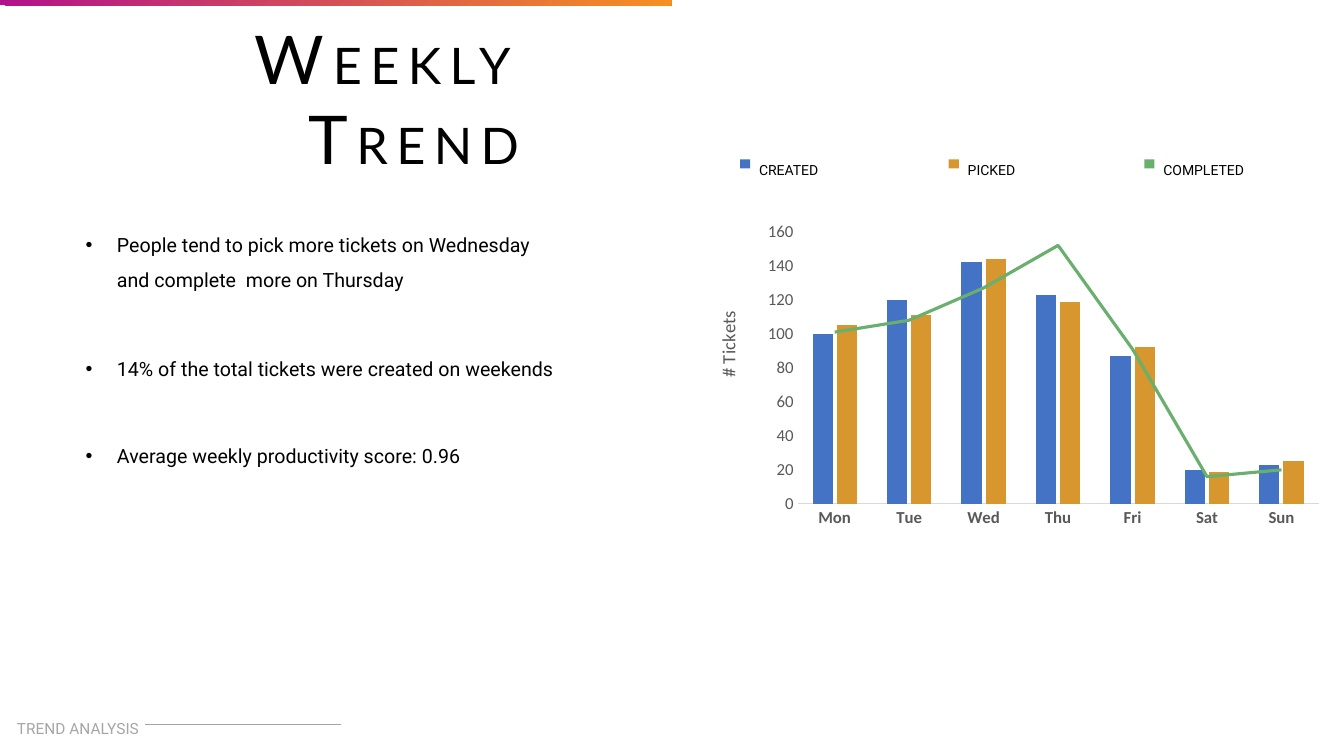
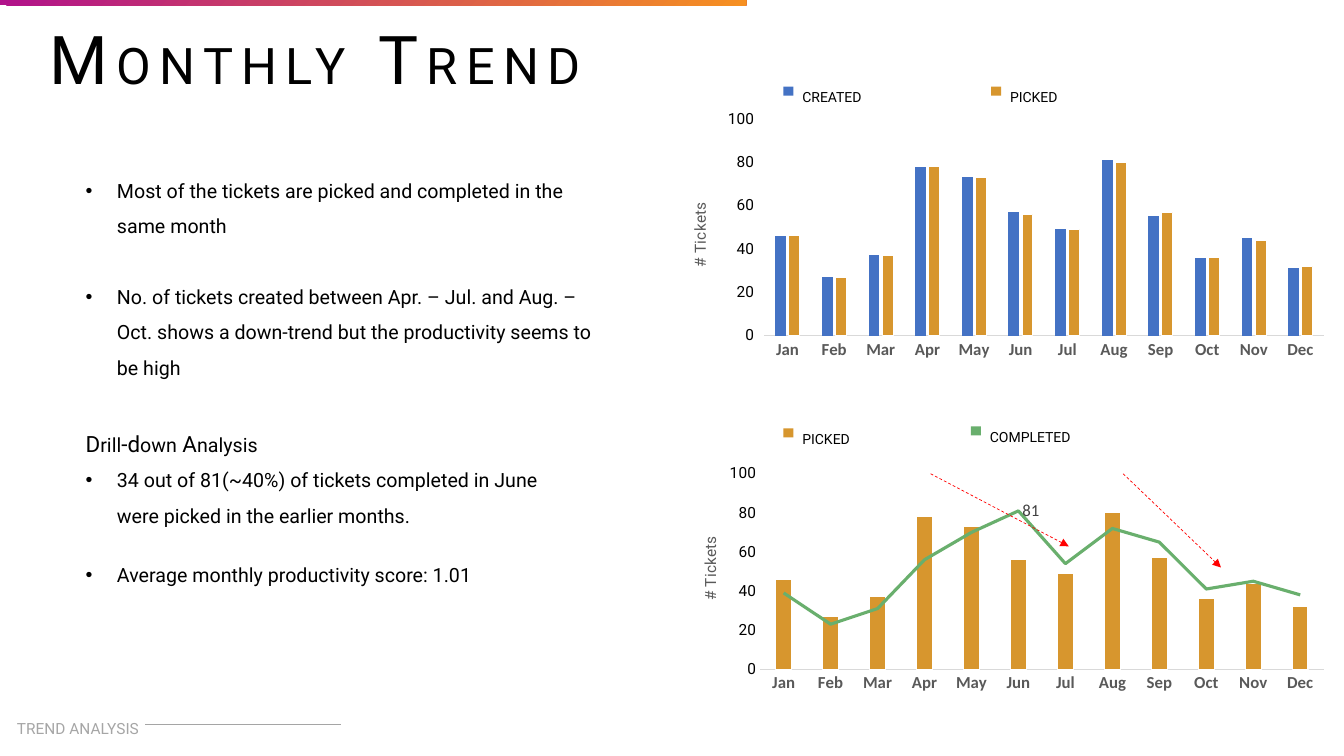
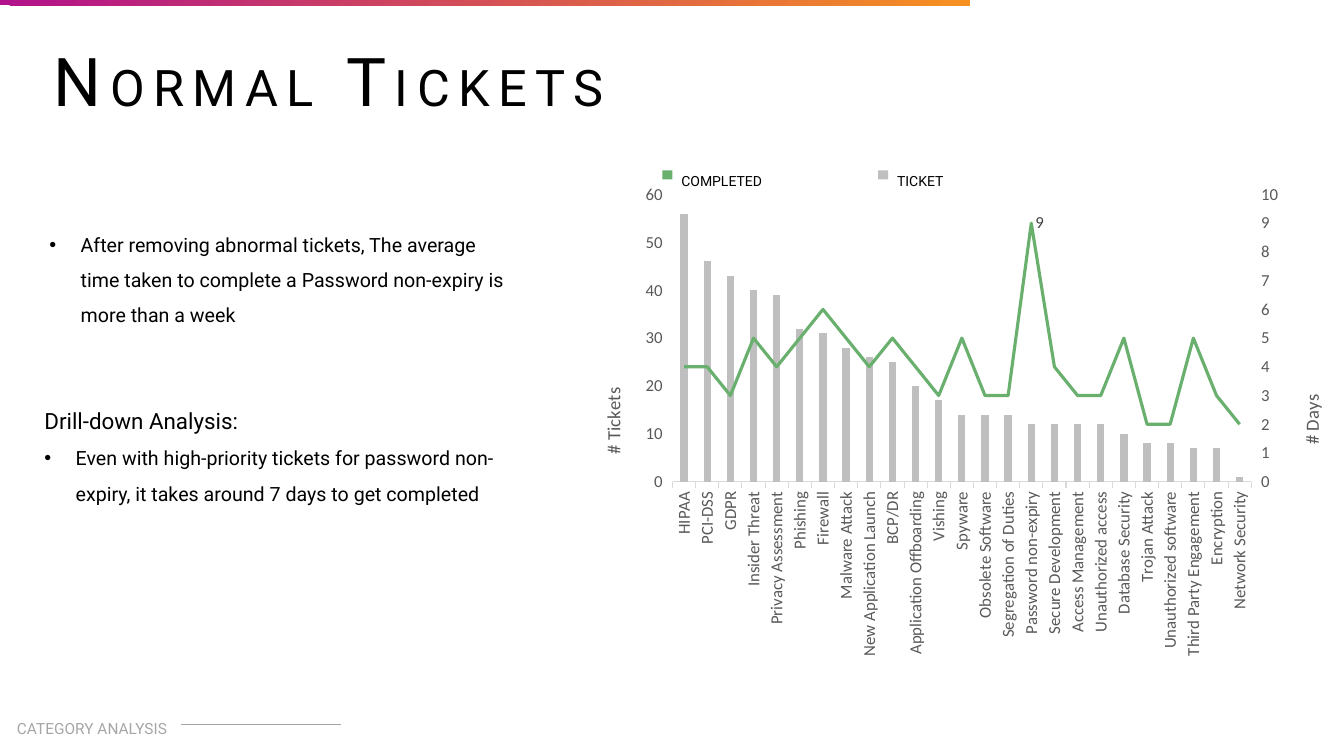
import copy

import pptx
import pptx.chart.axis
import pptx.chart.data
import pptx.dml.color
import pptx.enum.chart
import pptx.enum.dml
import pptx.enum.shapes
import pptx.enum.text
import pptx.oxml
import pptx.oxml.ns
import pptx.util

PX = 9144
COLOURS = {
    "text": "000000", "footer": "A6A6A6", "rule": "A5A5A5", "axis": "595959",
    "baseline": "D9D9D9", "created": "4472C4", "picked": "D7962E",
    "completed": "69AF6D", "ticket": "BFBFBF", "arrow": "FF0000",
    "white": "FFFFFF", "band_right": "F69021", "band_left": "B1128B", "label": "404040",
}
LEGEND_WIDTHS = {"CREATED": 130, "PICKED": 140, "COMPLETED": 160, "TICKET": 140}
FRAME = {
    "word_wrap": True,
    "auto_size": pptx.enum.text.MSO_AUTO_SIZE.NONE,
    "vertical_anchor": pptx.enum.text.MSO_ANCHOR.TOP,
}
VERTICAL = "-5400000"
NO_TICKS = pptx.enum.chart.XL_TICK_MARK.NONE
OUTER_TICKS = pptx.enum.chart.XL_TICK_MARK.OUTSIDE
TREND_FONT = {"name": "Roboto", "size": pptx.util.Pt(11)}
CALIBRI_LABELS = {"name": "Calibri", "size": pptx.util.Pt(12)}
CALIBRI_TITLE = {"name": "Calibri", "size": pptx.util.Pt(13.3)}
DAYS = ["Mon", "Tue", "Wed", "Thu", "Fri", "Sat", "Sun"]
MONTHS = ["Jan", "Feb", "Mar", "Apr", "May", "Jun",
          "Jul", "Aug", "Sep", "Oct", "Nov", "Dec"]
MONTHLY_PICKED = ("picked", [46, 27, 37, 78, 73, 56, 49, 80, 57, 36, 44, 32])
CATEGORIES = [
    "HIPAA", "PCI-DSS", "GDPR", "Insider Threat", "Privacy Assessment", "Phishing",
    "Firewall", "Malware Attack", "New Application Launch", "BCP/DR",
    "Application Offboarding", "Vishing", "Spyware", "Obsolete Software",
    "Segregation of Duties", "Password non-expiry", "Secure Development",
    "Access Management", "Unauthorized access", "Database Security", "Trojan Attack",
    "Unauthorized software", "Third Party Engagement", "Encryption", "Network Security",
]


def px(*lengths):
    return [pptx.util.Emu(length * PX) for length in lengths]


def rgb(name):
    return pptx.dml.color.RGBColor.from_string(COLOURS[name])


def apply(target, values):
    for attribute, value in values.items():
        setattr(target, attribute, value)


def element(xml):
    prefixes = pptx.oxml.ns.nsdecls("a", "c")
    tag, rest = xml[1:].split(" ", 1)
    return pptx.oxml.parse_xml(f"<{tag} {prefixes} {rest}")


def style_font(font, colour, **values):
    apply(font, values)
    font.color.rgb = rgb(colour)


def place(shape, box):
    apply(shape, dict(zip(("left", "top", "width", "height"), px(*box))))


def add_run(paragraph, text, size, font="Roboto", colour="text"):
    run = paragraph.add_run()
    run.text = text
    style_font(run.font, colour, name=font, size=pptx.util.Pt(size), bold=False)
    return run


def add_label(slide, box, text, size, colour="text"):
    frame = slide.shapes.add_textbox(*px(*box)).text_frame
    apply(frame, FRAME)
    frame.paragraphs[0].line_spacing = 2.5
    add_run(frame.paragraphs[0], text, size, colour=colour)


def add_block(slide, box):
    block = slide.shapes.add_shape(pptx.enum.shapes.MSO_SHAPE.RECTANGLE, *px(*box))
    block.shadow.inherit = False
    block.line.fill.background()
    return block


def add_line(slide, start, end, colour, arrow=False):
    connector = slide.shapes.add_connector(
        pptx.enum.shapes.MSO_CONNECTOR.STRAIGHT, *px(*start, *end))
    connector.line.width = pptx.util.Pt(0.5)
    connector.line.color.rgb = rgb(colour)
    if arrow:
        connector.line.dash_style = pptx.enum.dml.MSO_LINE.DASH
        connector.line._get_or_add_ln().append(element('<a:tailEnd type="triangle"/>'))
    connector._element.spPr.append(element("<a:effectLst />"))


def add_band(slide, width):
    fill = add_block(slide, (0, 0, width, 5)).fill
    fill.gradient()
    for stop, colour in zip(fill.gradient_stops, ("band_right", "band_left")):
        stop.color.rgb = rgb(colour)
    linear = slide.shapes[-1]._element.xpath(".//a:gradFill/a:lin")[0]
    linear.getparent().replace(linear, element(
        '<a:path path="circle"><a:fillToRect l="100000" t="100000"/></a:path>'))


def add_legend(slide, left, top, text):
    marker = add_block(slide, (left, top, 10, 9))
    marker.fill.solid()
    marker.fill.fore_color.rgb = rgb(text.lower())
    add_label(slide, (left + 9, top - 28, LEGEND_WIDTHS[text], 45), text, 10)


def fill_title(slide, text, box, font):
    title = slide.shapes.title
    place(title, box)
    apply(title.text_frame, FRAME)
    paragraph = title.text_frame.paragraphs[0]
    apply(paragraph, {"alignment": pptx.enum.text.PP_ALIGN.RIGHT, "line_spacing": 1.0})
    for index, word in enumerate(text.split()):
        initial = word[0] if index == 0 else " " + word[0]
        for part, size in ((initial, 48), (word[1:], 36)):
            add_run(paragraph, part, size, font)._r.get_or_add_rPr().set("spc", "600")


def add_paragraph(paragraph, content):
    bulleted = isinstance(content, str)
    properties = paragraph._p.get_or_add_pPr()
    indent = px(31)[0] if bulleted else 0
    properties.set("marL", str(indent))
    properties.set("indent", str(-indent))
    if bulleted:
        properties.append(element('<a:buFont typeface="Arial"/>'))
        properties.append(element('<a:buChar char="•"/>'))
    else:
        properties.append(element("<a:buNone />"))
    apply(paragraph, {"line_spacing": 1.5, "space_before": pptx.util.Pt(0),
                      "alignment": pptx.enum.text.PP_ALIGN.LEFT})
    for text, size in [(content, 14)] if bulleted else content:
        add_run(paragraph, text, size)


def fill_bodies(slide, findings):
    bodies = list(slide.placeholders)[1:]
    for body, (box, contents) in zip(bodies, findings):
        place(body, box)
        apply(body.text_frame, FRAME)
        for index, content in enumerate(contents):
            frame = body.text_frame
            add_paragraph(frame.add_paragraph() if index else frame.paragraphs[0], content)
    for unused in bodies[len(findings):]:
        unused._element.getparent().remove(unused._element)


def start_slide(deck, title, title_box, band, section, rule_start, findings, font="Roboto"):
    slide = deck.slides.add_slide(deck.slide_layouts[4])
    add_band(slide, band)
    fill_title(slide, title, title_box, font)
    fill_bodies(slide, findings)
    add_label(slide, (7, 681, 184, 49), section, 11, "footer")
    add_line(slide, (rule_start, 719), (338, 719), "rule")
    return slide


def manual_layout(box, chart_box, inner=False):
    left, top, width, height = chart_box
    fractions = {"x": (box[0] - left) / width, "y": (box[1] - top) / height}
    if inner:
        fractions.update(w=box[2] / width, h=box[3] / height)
    target = '<c:layoutTarget val="inner"/>' if inner else ""
    modes = '<c:xMode val="edge"/><c:yMode val="edge"/>'
    values = "".join(f'<c:{key} val="{value:.4f}"/>' for key, value in fractions.items())
    return element(f"<c:layout ><c:manualLayout>{target}{modes}{values}"
                   "</c:manualLayout></c:layout>")


def drop(parent, query):
    for child in parent.xpath(query):
        child.getparent().remove(child)


def style_value_axis(axis, chart_box, title, title_at, top, step, ticks=NO_TICKS,
                     labels=CALIBRI_LABELS, title_font=CALIBRI_TITLE, colour="axis"):
    apply(axis, {"has_major_gridlines": False, "minimum_scale": 0, "maximum_scale": top,
                 "major_unit": step, "major_tick_mark": ticks})
    axis.format.line.fill.background()
    style_font(axis.tick_labels.font, colour, **labels)
    frame = axis.axis_title.text_frame
    frame.text = title
    style_font(frame.paragraphs[0].runs[0].font, "axis", bold=False, **title_font)
    heading = axis.axis_title._element
    heading.xpath(".//a:bodyPr")[0].set("rot", VERTICAL)
    drop(heading, "c:layout")
    heading.xpath("c:tx")[0].addnext(manual_layout(title_at, chart_box))


def add_right_axis(chart):
    category, value = chart.element.xpath(".//c:catAx | .//c:valAx")
    right_category, right_value = copy.deepcopy(category), copy.deepcopy(value)
    settings = (
        (right_category, {"axId": "3001", "crossAx": "3002", "delete": "1"}),
        (right_value, {"axId": "3002", "crossAx": "3001", "axPos": "r", "crosses": "max"}),
    )
    for axis, values in settings:
        for tag, setting in values.items():
            axis.xpath(f"c:{tag}")[0].set("val", setting)
    value.addnext(right_value)
    right_value.addnext(right_category)
    return pptx.chart.axis.ValueAxis(right_value)


def move_to_line(chart, right):
    bars = chart.element.xpath(".//c:barChart")[0]
    series = bars.xpath("c:ser")[-1]
    drop(series, "c:invertIfNegative")
    ids = ["3001", "3002"] if right else bars.xpath("c:axId/@val")
    axes = "".join(f'<c:axId val="{axis_id}"/>' for axis_id in ids)
    lines = element('<c:lineChart ><c:grouping val="standard"/><c:varyColors val="0"/>'
                    f'<c:marker val="1"/>{axes}</c:lineChart>')
    lines.insert(2, series)
    bars.addnext(lines)


def style_line(series, label_index):
    series.format.line.width = pptx.util.Pt(2.25)
    series.format.line.color.rgb = rgb("completed")
    series.marker.style = pptx.enum.chart.XL_MARKER_STYLE.NONE
    series.smooth = False
    if label_index is not None:
        series.data_labels.show_value = False
        label = series.points[label_index].data_label
        style_font(label.font, "label", **CALIBRI_LABELS)
        label.position = pptx.enum.chart.XL_LABEL_POSITION.RIGHT


def add_ticket_chart(slide, box, plot, categories, bars, gap, overlap, value_axis,
                     line=None, right_axis=None, label_index=None, upright=False,
                     outlined=False):
    data = pptx.chart.data.CategoryChartData()
    data.categories = categories
    columns = bars + ([("completed", line)] if line else [])
    for number, (_, values) in enumerate(columns, 1):
        data.add_series(f"Series {number}", values)
    chart = slide.shapes.add_chart(
        pptx.enum.chart.XL_CHART_TYPE.COLUMN_CLUSTERED, *px(*box), data).chart
    apply(chart, {"has_legend": False, "has_title": False})
    style_font(chart.font, "text", name="Calibri", size=pptx.util.Pt(10))
    area = chart.element.xpath(".//c:plotArea")[0]
    drop(area, "c:layout")
    area.insert(0, manual_layout(plot, box, True))
    tickets_axis = chart.value_axis
    if right_axis:
        style_value_axis(add_right_axis(chart), box, **right_axis)
    style_value_axis(tickets_axis, box, **value_axis)
    if line:
        move_to_line(chart, right_axis)
        style_line(chart.plots[1].series[0], label_index)
    apply(chart.plots[0], {"gap_width": gap, "overlap": overlap, "vary_by_categories": False})
    for series, (colour, _) in zip(chart.plots[0].series, bars):
        series.format.fill.solid()
        series.format.fill.fore_color.rgb = rgb(colour)
        if outlined and colour == "picked":
            series.format.line.width = pptx.util.Pt(0.75)
            series.format.line.color.rgb = rgb("white")
    axis = chart.category_axis
    axis.major_tick_mark = OUTER_TICKS if upright else NO_TICKS
    axis.format.line.width = pptx.util.Pt(0.75)
    axis.format.line.color.rgb = rgb("baseline")
    style_font(axis.tick_labels.font, "axis", bold=not upright, **CALIBRI_LABELS)
    if upright:
        axis._element.xpath("c:txPr/a:bodyPr")[0].set("rot", VERTICAL)


def build_weekly(deck):
    slide = start_slide(deck, "WEEKLY TREND", (24, 12, 501, 91), 666, "TREND ANALYSIS", 144, [
        ((75, 214, 480, 77),
         ["People tend to pick more tickets on Wednesday and complete  more on Thursday"]),
        ((75, 337, 504, 42), ["14% of the total tickets were created on weekends"]),
        ((75, 424, 449, 42), ["Average weekly productivity score: 0.96"]),
    ], "Lato")
    for left, text in ((734, "CREATED"), (941, "PICKED"), (1135, "COMPLETED")):
        add_legend(slide, left, 158, text)
    add_ticket_chart(
        slide, (698, 214, 622, 316), (791, 230, 517, 270), DAYS,
        [("created", [100, 120, 142, 123, 87, 20, 23]),
         ("picked", [105, 111, 144, 119, 92, 19, 25])], 150, -20,
        {"title": "# Tickets", "title_at": (706, 305), "top": 160, "step": 20},
        line=[101, 108, 127, 152, 91, 16, 20])


def build_monthly(deck):
    heading = [("D", 16), ("rill", 14), ("-d", 16), ("own", 14), (" A", 16), ("nalysis", 14)]
    slide = start_slide(deck, "MONTHLY TREND", (14, 12, 572, 91), 740, "TREND ANALYSIS", 144, [
        ((75, 161, 524, 77),
         ["Most of the tickets are picked and completed in the same month"]),
        ((75, 266, 524, 112),
         ["No. of tickets created between Apr. – Jul. and Aug. – Oct. shows a down-trend "
          "but the productivity seems to be high"]),
        ((75, 408, 478, 117),
         [heading, "34 out of 81(~40%) of tickets completed in June were picked in the "
          "earlier months."]),
        ((75, 542, 478, 42), ["Average monthly productivity score: 1.01"]),
    ])
    for left, top, text in ((777, 86, "CREATED"), (983, 86, "PICKED"),
                            (777, 425, "PICKED"), (963, 423, "COMPLETED")):
        add_legend(slide, left, top, text)
    scale = {"title": "# Tickets", "top": 100, "step": 20, "labels": TREND_FONT,
             "title_font": TREND_FONT, "colour": "text"}
    add_ticket_chart(
        slide, (667, 106, 658, 269), (758, 118, 555, 215), MONTHS,
        [("created", [46, 27, 37, 78, 73, 57, 49, 81, 55, 36, 45, 31]), MONTHLY_PICKED],
        202, -25, {**scale, "title_at": (681, 198), "ticks": OUTER_TICKS}, outlined=True)
    add_ticket_chart(
        slide, (667, 458, 658, 252), (754, 470, 559, 194), MONTHS, [MONTHLY_PICKED],
        202, -25, {**scale, "title_at": (691, 529)}, outlined=True,
        line=[39, 23, 31, 56, 70, 81, 54, 72, 65, 41, 45, 38], label_index=5)
    for start, end in (((923, 470), (1060, 542)), ((1114, 470), (1211, 563))):
        add_line(slide, start, end, "arrow", True)


def build_normal(deck):
    slide = start_slide(
        deck, "NORMAL TICKETS", (26, 34, 583, 91), 962, "CATEGORY ANALYSIS", 180, [
            ((39, 214, 480, 112),
             ["After removing abnormal tickets, The average time taken to complete a "
              "Password non-expiry is more than a week"]),
            ((34, 386, 512, 158),
             [[("Drill-down Analysis:", 16)],
              "Even with high-priority tickets for password non-expiry, it takes around "
              "7 days to get completed"]),
        ])
    for left, text in ((657, "COMPLETED"), (871, "TICKET")):
        add_legend(slide, left, 169, text)
    add_ticket_chart(
        slide, (573, 174, 760, 487), (667, 193, 574, 285), CATEGORIES,
        [("ticket", [56, 46, 43, 40, 39, 32, 31, 28, 26, 25, 20, 17, 14, 14, 14,
                     12, 12, 12, 12, 10, 8, 8, 7, 7, 1])], 219, 0,
        {"title": "# Tickets", "title_at": (592, 381), "top": 60, "step": 10,
         "ticks": OUTER_TICKS},
        line=[4, 4, 3, 5, 4, 5, 6, 5, 4, 5, 4, 3, 5, 3, 3, 9, 4, 3, 3, 5, 2, 2, 5, 3, 2],
        right_axis={"title": "# Days", "title_at": (1285, 388), "top": 10, "step": 1,
                    "ticks": OUTER_TICKS},
        label_index=15, upright=True)


def main():
    deck = pptx.Presentation()
    deck.slide_width, deck.slide_height = px(1333, 750)
    for build in (build_weekly, build_monthly, build_normal):
        build(deck)
    deck.save("out.pptx")


if __name__ == "__main__":
    main()
